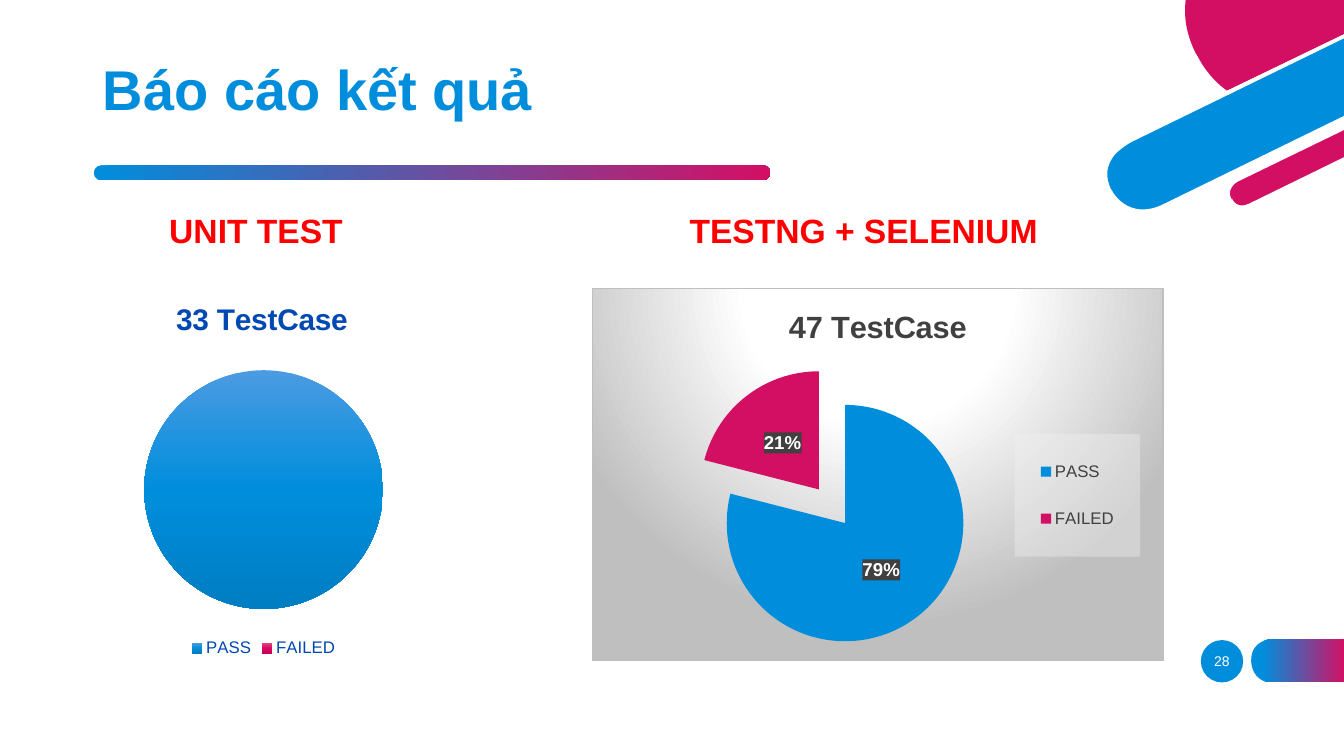
from lxml import etree
from pptx import Presentation
from pptx.chart.data import CategoryChartData
from pptx.dml.color import RGBColor
from pptx.enum import chart as chart_enum, shapes, text
from pptx.oxml import ns, parse_xml
from pptx.util import Inches, Pt

COLORS = {
    "blue": "008EDC", "pink": "D30F64", "white": "FFFFFF", "red": "FF0000",
    "navy": "0048B3", "dark": "404040", "silver": "BFBFBF", "pale": "F2F2F2",
}
BLUE_TO_PINK = [(0, COLORS["blue"]), (100, COLORS["pink"])]
TAB_STOPS = [(12, COLORS["blue"]), (100, COLORS["pink"])]
PASS_STOPS = [(0, "4B9BE2"), (50, COLORS["blue"]), (100, "007EC3")]
FAILED_STOPS = [(0, "DD4C77"), (50, "DD0563"), (100, "C90057")]
PANEL_STOPS = [(0, COLORS["white"]), (39, COLORS["white"]), (100, COLORS["silver"])]
PANEL_GLOW = ('<a:path path="circle"><a:fillToRect l="50000" t="-80000" '
              'r="50000" b="180000"/></a:path>')

# Outlines in inches from the slide's top left corner: M move, L line, C curve
CORNER_OUTLINES = [
    ("white", "M 13.33 .81 L 13.06 .94 C 12.74 1.1 12.44 1.08 12.19 .89 "
              "C 11.99 .74 11.89 .55 11.89 .55 L 11.88 .52 C 11.79 .34 11.75 .16 11.78 0 "
              "L 11.74 0 C 11.71 .17 11.75 .35 11.84 .54 L 11.86 .57 "
              "C 11.86 .58 11.96 .77 12.16 .92 C 12.28 1.01 12.44 1.09 12.65 1.09 "
              "C 12.77 1.09 12.91 1.06 13.08 .98 L 13.33 .86"),
    ("blue", "M 11.21 1.39 C 11.21 1.39 10.85 1.57 11.01 1.89 L 11.01 1.9 "
             "C 11.01 1.9 11.17 2.22 11.54 2.04 L 13.33 1.17 L 13.33 .36"),
    ("pink", "M 11.88 .56 C 11.88 .56 11.97 .76 12.17 .9 L 13.33 .34 L 13.33 0 "
             "L 11.76 0 C 11.74 .15 11.76 .33 11.86 .53"),
    ("pink", "M 13.33 1.26 L 12.27 1.78 C 12.27 1.78 12.13 1.85 12.2 1.97 L 12.2 1.98 "
             "C 12.2 1.98 12.26 2.11 12.4 2.04 L 13.33 1.58"),
    ("white", "M 12.39 2.02 C 12.27 2.08 12.22 1.98 12.22 1.97 L 12.21 1.97 "
              "C 12.16 1.86 12.28 1.8 12.28 1.8 L 13.33 1.29 L 13.33 1.24 L 12.26 1.76 "
              "C 12.26 1.76 12.19 1.8 12.17 1.87 C 12.15 1.91 12.16 1.95 12.18 1.99 "
              "C 12.2 2.03 12.25 2.08 12.32 2.08 C 12.35 2.08 12.38 2.08 12.41 2.06 "
              "L 13.33 1.61 L 13.33 1.56"),
    ("white", "M 11.53 2.03 C 11.19 2.19 11.03 1.9 11.03 1.89 L 11.02 1.88 "
              "C 10.96 1.75 10.97 1.64 11.06 1.53 C 11.13 1.46 11.22 1.41 11.22 1.41 "
              "L 13.33 .38 L 13.33 .34 L 11.2 1.37 C 11.19 1.38 11.02 1.46 10.96 1.63 "
              "C 10.93 1.71 10.94 1.8 10.99 1.9 L 10.99 1.91 C 10.99 1.91 11.1 2.12 11.33 2.12 "
              "C 11.39 2.12 11.46 2.1 11.54 2.06 L 13.33 1.19 L 13.33 1.15"),
]
PAGE_TAB = "M .21 .43 L .93 .43 L .93 0 L .21 0 C .21 0 0 0 0 .21 L 0 .22 C 0 .22 0 .43 .21 .43"


def rgb(name):
    return RGBColor.from_string(COLORS[name])


def gradient_xml(stops, direction):
    marks = "".join(f'<a:gs pos="{position * 1000}"><a:srgbClr val="{color}"/></a:gs>'
                    for position, color in stops)
    return f"<a:gradFill><a:gsLst>{marks}</a:gsLst>{direction}</a:gradFill>"


def solid_xml(name, alpha=100):
    return (f'<a:solidFill><a:srgbClr val="{COLORS[name]}">'
            f'<a:alpha val="{alpha * 1000}"/></a:srgbClr></a:solidFill>')


def chart_properties(content):
    return parse_xml(f'<c:spPr {ns.nsdecls("c", "a")}>{content}</c:spPr>')


def set_gradient(fill, stops, angle=0):
    fill.background()
    properties = fill._xPr
    direction = f'<a:lin ang="{angle * 60000}" scaled="0"/>'
    gradient = gradient_xml(stops, direction).replace(
        "<a:gradFill>", f'<a:gradFill {ns.nsdecls("a")}>')
    properties.replace(properties.find(ns.qn("a:noFill")), parse_xml(gradient))


def style_shape(shape, color=None, stops=None):
    shape.shadow.inherit = False
    shape.line.fill.background()
    if stops:
        set_gradient(shape.fill, stops)
    else:
        shape.fill.solid()
        shape.fill.fore_color.rgb = rgb(color)


def add_outline(container, outline, left=0, top=0, **style):
    """Build the outline's points as lines, then join each curve's three into one Bézier."""
    tokens = outline.split()
    commands = [token for token in tokens if token.isalpha()]
    numbers = [float(token) for token in tokens if not token.isalpha()]
    points = [(Inches(left + x), Inches(top + y)) for x, y in zip(numbers[::2], numbers[1::2])]
    builder = container.build_freeform(*points[0])
    builder.add_line_segments(points[1:], close=True)
    shape = builder.convert_to_shape()
    lines = iter(list(shape._element.iter(ns.qn("a:lnTo"))))
    for command in commands[1:]:
        line = next(lines)
        if command == "C":
            curve = etree.Element(ns.qn("a:cubicBezTo"))
            line.addprevious(curve)
            for segment in (line, next(lines), next(lines)):
                curve.append(segment[0])
                segment.getparent().remove(segment)
    style_shape(shape, **style)


def write_text(shape, words, size, color, bold=True, align=text.PP_ALIGN.LEFT,
               anchor=text.MSO_ANCHOR.MIDDLE, spacing=0.9):
    frame = shape.text_frame
    frame.text = words
    frame.word_wrap = True
    frame.auto_size = text.MSO_AUTO_SIZE.NONE
    frame.vertical_anchor = anchor
    paragraph = frame.paragraphs[0]
    paragraph.alignment = align
    paragraph.line_spacing = spacing
    set_font(paragraph.runs[0].font, size, color, bold)


def set_font(font, size, color, bold=False):
    font.name, font.size, font.bold = "Arial", Pt(size), bold
    font.color.rgb = rgb(color)


def corner_art(slide):
    group = slide.shapes.add_group_shape()
    for color, outline in CORNER_OUTLINES:
        add_outline(group.shapes, outline, color=color)


def title_region(slide, left, top):
    title = slide.shapes.title
    title.left, title.top = Inches(left), Inches(top)
    title.width, title.height = Inches(9.9), Inches(1.03)
    write_text(title, "Báo cáo kết quả", 40, "blue")
    rule = slide.shapes.add_shape(shapes.MSO_SHAPE.ROUNDED_RECTANGLE, Inches(left + 0.01),
                                  Inches(top + 1.24), Inches(6.71), Inches(0.15))
    rule.adjustments[0] = 0.5
    style_shape(rule, stops=BLUE_TO_PINK)


def page_number(slide, left, top):
    disc = slide.shapes.add_shape(shapes.MSO_SHAPE.OVAL, Inches(left), Inches(top),
                                  Inches(0.42), Inches(0.42))
    style_shape(disc, "blue")
    add_outline(slide.shapes, PAGE_TAB, left + 0.5, top - 0.01, stops=TAB_STOPS)
    number = slide.shapes.add_textbox(Inches(left - 0.09), Inches(top + 0.01),
                                      Inches(0.6), Inches(0.4))
    write_text(number, "28", 10, "white", bold=False, align=text.PP_ALIGN.CENTER, spacing=1)


def heading(slide, words, left, width):
    box = slide.shapes.add_textbox(Inches(left), Inches(2.08), Inches(width), Inches(0.46))
    write_text(box, words, 24, "red", anchor=text.MSO_ANCHOR.BOTTOM)


def set_layout(parent, before, *place, inner=False):
    """Place a chart part, by fractions of the chart, in front of the named child."""
    for layout in parent.findall(ns.qn("c:layout")):
        parent.remove(layout)
    target = '<c:layoutTarget val="inner"/>' if inner else ""
    values = "".join(f'<c:{tag} val="{value}"/>' for tag, value in zip("xywh", place))
    parent.find(ns.qn(before)).addprevious(parse_xml(
        f'<c:layout {ns.nsdecls("c")}><c:manualLayout>{target}<c:xMode val="edge"/>'
        f'<c:yMode val="edge"/>{values}</c:manualLayout></c:layout>'))


def pie_chart(slide, left, width, title, title_size, values, color, legend_position, plot_box):
    data = CategoryChartData()
    data.categories = ["PASS", "FAILED"]
    data.add_series(title, values)
    chart = slide.shapes.add_chart(chart_enum.XL_CHART_TYPE.PIE, Inches(left), Inches(2.86),
                                   Inches(width), Inches(3.7), data).chart
    chart.font.name, chart.font.size = "Arial", Pt(10)
    chart.has_title = True
    chart.chart_title.text_frame.text = title
    set_font(chart.chart_title.text_frame.paragraphs[0].runs[0].font, title_size, color, True)
    chart.has_legend = True
    chart.legend.position = legend_position
    chart.legend.include_in_layout = False
    set_font(chart.legend.font, 12, color)
    chart.plots[0].vary_by_categories = True
    set_layout(chart._chartSpace.chart.plotArea, "c:pieChart", *plot_box, inner=True)
    return chart


def unit_test_chart(slide, left, width):
    chart = pie_chart(slide, left, width, "33 TestCase ", 21.3, (100, 0), "navy",
                      chart_enum.XL_LEGEND_POSITION.BOTTOM, (0.23, 0.22, 0.54, 0.64))
    chart.chart_title.include_in_layout = False
    title = chart.chart_title._element
    if title.find(ns.qn("c:overlay")) is None:
        title.append(etree.Element(ns.qn("c:overlay"), val="0"))
    set_layout(title, "c:overlay", 0.29, 0.02)
    for index, stops in enumerate((PASS_STOPS, FAILED_STOPS)):
        set_gradient(chart.series[0].points[index].format.fill, stops, 90)


def selenium_chart(slide, left, width):
    chart = pie_chart(slide, left, width, "47 TestCase", 22, (79, 21), "dark",
                      chart_enum.XL_LEGEND_POSITION.RIGHT, (0.17, 0.21, 0.5, 0.75))
    series = chart.series[0]
    for index, color in enumerate(("blue", "pink")):
        fill = series.points[index].format.fill
        fill.solid()
        fill.fore_color.rgb = rgb(color)
    explosion = etree.Element(ns.qn("c:explosion"), val="18")
    series._element.find(ns.qn("c:dPt")).addprevious(explosion)
    labels = series.data_labels
    labels.show_percentage, labels.show_value = True, False
    labels.number_format, labels.number_format_is_linked = "0%", False
    labels.position = chart_enum.XL_LABEL_POSITION.CENTER
    set_font(labels.font, 13.3, "white", True)
    panel = gradient_xml(PANEL_STOPS, PANEL_GLOW)
    border = f'<a:ln w="9525">{solid_xml("silver")}</a:ln>'
    for element, content in ((labels._element, solid_xml("dark", 90)),
                             (chart.legend._element, solid_xml("pale", 39)),
                             (chart._chartSpace, panel + border)):
        element.find(ns.qn("c:txPr")).addprevious(chart_properties(content))
    set_layout(chart.legend._element, "c:overlay", 0.74, 0.39, 0.22, 0.33)


def main():
    presentation = Presentation()
    presentation.slide_width, presentation.slide_height = Inches(13.33), Inches(7.5)
    slide = presentation.slides.add_slide(presentation.slide_layouts[5])
    corner_art(slide)
    title_region(slide, 0.92, 0.4)
    page_number(slide, 11.91, 6.35)
    heading(slide, "UNIT TEST", 1.58, 2.29)
    unit_test_chart(slide, 0.42, 4.39)
    heading(slide, "TESTNG + SELENIUM", 6.74, 3.91)
    selenium_chart(slide, 5.87, 5.67)
    presentation.save("out.pptx")


if __name__ == "__main__":
    main()
